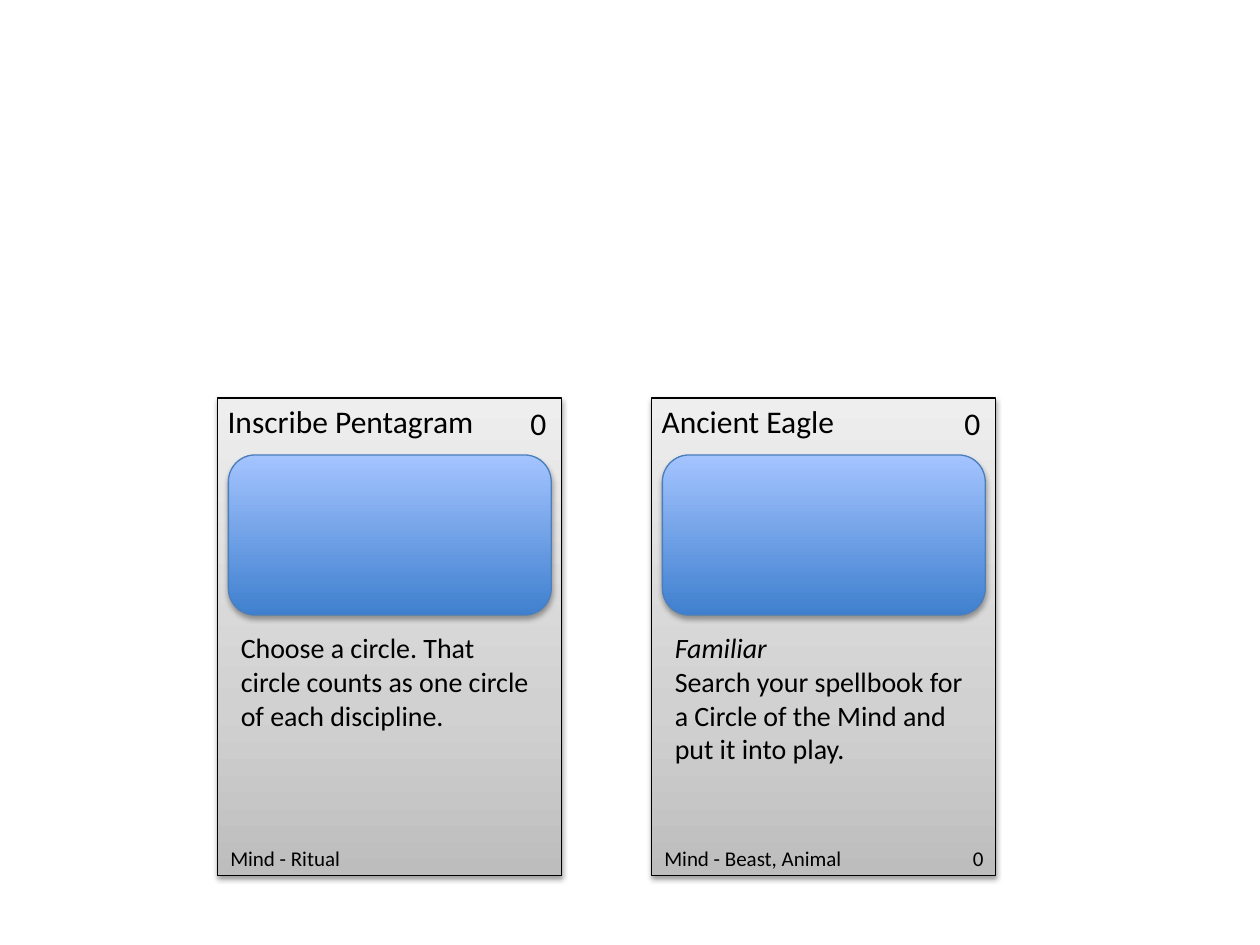
from dataclasses import dataclass
from lxml import etree
from pptx import Presentation
from pptx.dml.color import RGBColor
from pptx.enum import shapes, text
from pptx.oxml import ns
from pptx.util import Pt

HUES = {
    "ink": "000000", "edge": "4B7EBC",
    "low": "BDBDBD", "mid": "D1D1D1", "high": "EEEEEE",
    "deep": "3F80CE", "sky": "A4C4FF",
}
FACE = [(0, "low"), (35, "mid"), (100, "high")]
ART = [(0, "deep"), (100, "sky")]
TOP, WIDE, TALL = 227.5, 196.5, 273


@dataclass
class Card:
    """One spell card; a rule is a line of text and its italic flag."""
    left: float
    name: str
    cost: str
    rules: list[tuple[str, bool]]
    kind: str
    power: str = ""


CARDS = [
    Card(124.5, "Inscribe Pentagram", "0",
         [("Choose a circle. That circle counts as one circle of each discipline.", False)],
         "Mind - Ritual"),
    Card(372.5, "Ancient Eagle", "0",
         [("Familiar", True),
          ("Search your spellbook for a Circle of the Mind and put it into play.", False)],
         "Mind - Beast, Animal", "0"),
]


def add_node(root, tag: str, **attrs):
    """Add a drawing element below root."""
    return etree.SubElement(root, ns.qn(tag), {k: str(v) for k, v in attrs.items()})


def add_panel(slide, form, box: tuple, stops: list, edge: str, dark: int, drop: float) -> None:
    """Draw a gradient panel with an outline and a soft shadow below."""
    panel = slide.shapes.add_shape(form, *map(Pt, box))
    panel.fill.gradient()
    panel.fill.gradient_angle = 90
    panel.line.color.rgb = RGBColor.from_string(HUES[edge])
    panel.line.width = Pt(0.75)
    panel.shadow.inherit = False
    props = panel._element.spPr
    ramp = props.find(".//" + ns.qn("a:gsLst"))
    for old in list(ramp):
        ramp.remove(old)
    for pos, hue in stops:
        add_node(add_node(ramp, "a:gs", pos=pos * 1000), "a:srgbClr", val=HUES[hue])
    shade = add_node(props.find(ns.qn("a:effectLst")), "a:outerShdw",
                     blurRad=Pt(3.1), dist=Pt(drop), dir=5400000, rotWithShape=0)
    tone = add_node(shade, "a:srgbClr", val=HUES["ink"])
    add_node(tone, "a:alpha", val=dark * 1000)


def add_text(slide, box: tuple, lines: list, size: int, align=text.PP_ALIGN.LEFT) -> None:
    """Write lines, each with an italic flag, in a wrapped box."""
    frame = slide.shapes.add_textbox(*map(Pt, box)).text_frame
    frame.word_wrap = True
    frame.auto_size = text.MSO_AUTO_SIZE.SHAPE_TO_FIT_TEXT
    frame.text = "\n".join(line for line, _ in lines)
    for para, (_, slant) in zip(frame.paragraphs, lines):
        para.alignment = align
        font = para.font
        font.name, font.size, font.italic = "Calibri", Pt(size), slant
        font.color.rgb = RGBColor.from_string(HUES["ink"])


def add_card(slide, card: Card) -> None:
    """Draw one whole card."""
    left, foot = card.left, TOP + 252
    form = shapes.MSO_SHAPE
    add_panel(slide, form.RECTANGLE, (left, TOP, WIDE, TALL), FACE, "ink", 38, 1.6)
    add_panel(slide, form.ROUNDED_RECTANGLE, (left + 6, TOP + 32.5, 184.5, 91.5),
              ART, "edge", 35, 1.8)
    high = 65.5 if len(card.rules) == 1 else 85
    add_text(slide, (left + 6, TOP + 129.5, 184.5, high), card.rules, 16)
    add_text(slide, (left - 1.5, TOP - 1.5, 177, 29), [(card.name, False)], 18)
    add_text(slide, (left + 171.5, TOP, 25, 29), [(card.cost, False)], 18)
    add_text(slide, (left, foot, 142, 21.5), [(card.kind, False)], 12)
    if card.power:
        add_text(slide, (left + WIDE - 74, foot, 74, 21.5), [(card.power, False)], 12,
                 text.PP_ALIGN.RIGHT)


def main() -> None:
    """Build and save the deck."""
    deck = Presentation()
    deck.slide_width, deck.slide_height = Pt(720), Pt(540)
    slide = deck.slides.add_slide(deck.slide_layouts[6])
    for card in CARDS:
        add_card(slide, card)
    deck.save("out.pptx")


main()
